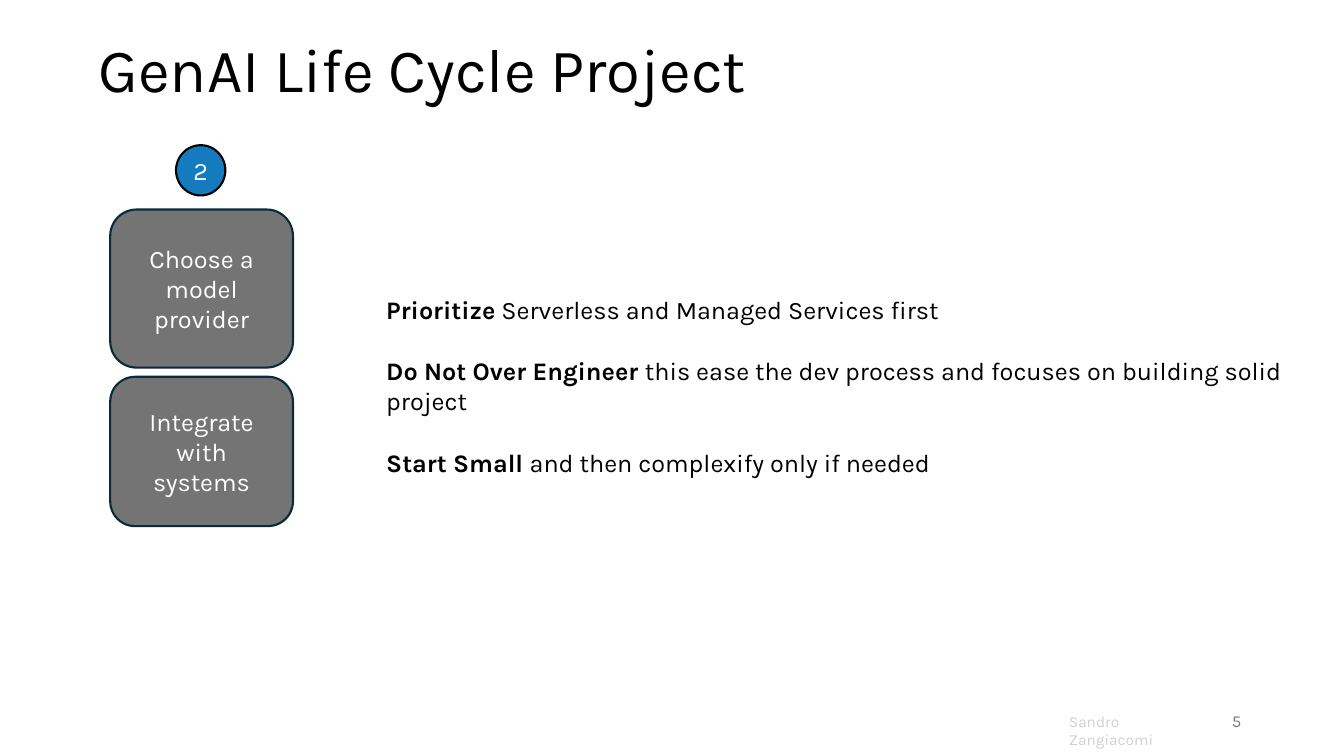
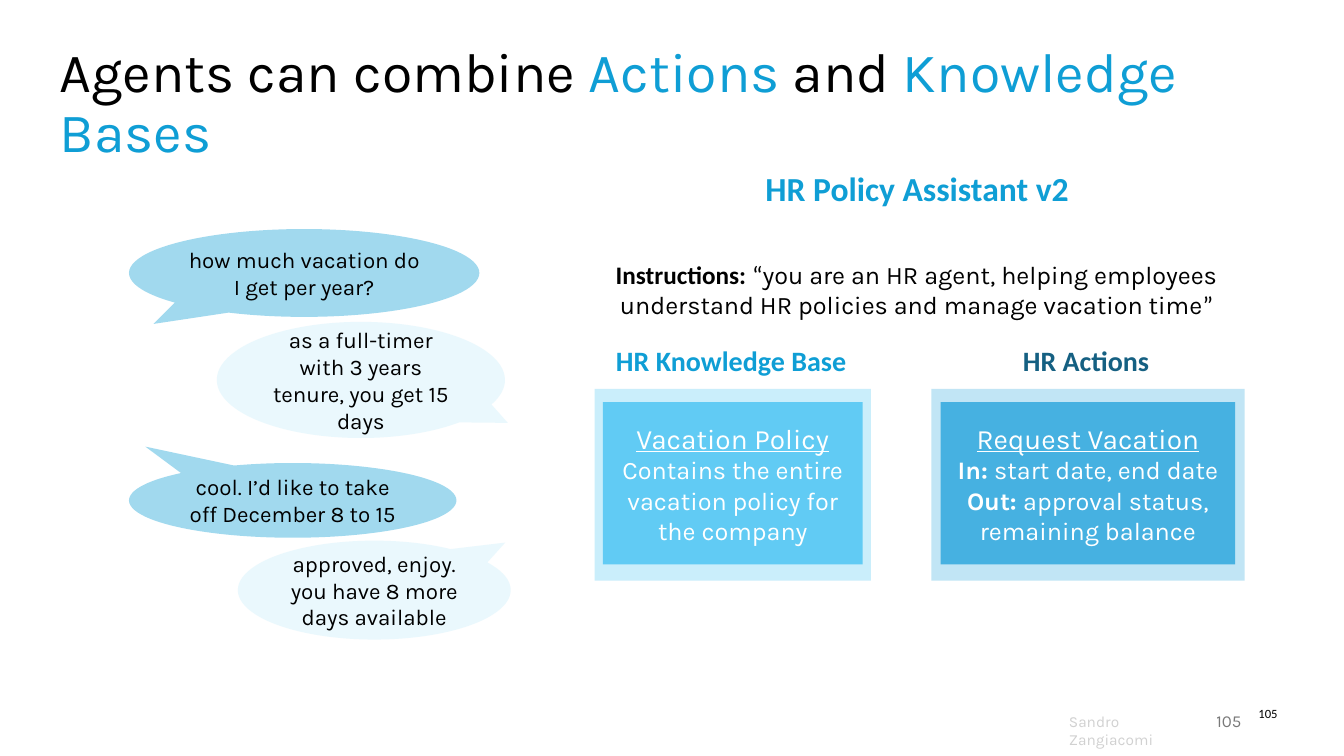
"""Build two slides on generative AI projects and agents."""
from dataclasses import dataclass

import lxml.etree
import pptx
import pptx.dml.color
import pptx.enum.shapes
import pptx.enum.text
import pptx.oxml.ns
import pptx.util

SHAPE = pptx.enum.shapes.MSO_SHAPE
ALIGN = pptx.enum.text.PP_ALIGN
ANCHOR = pptx.enum.text.MSO_ANCHOR


class Theme:
    """Fonts, colours and type sizes shared by the slides."""

    body_font, label_font = "Karla", "Calibri"
    black, white = "000000", "FFFFFF"
    credit_grey, number_grey, card_grey = "D1D1D1", "797979", "747474"
    card_line, badge_blue = "092A39", "147BBF"
    accent, accent_dark = "0F9ED5", "156082"
    pale_blue, sky, pale_steel, steel = "CAEEFB", "61CBF4", "C1E5F5", "46B1E1"
    title, wide_title, heading, subheading = 44, 39.6, 24, 20
    body, bubble, number, credit, small = 18, 16, 12, 11, 9
    outline, paragraph_gap, title_leading = 1.5, 22, 0.9
    bubble_opacity, inset = 39, 0.05


@dataclass
class Region:
    """A rectangle in inches."""

    left: float
    top: float
    width: float
    height: float

    def share(self, left, top, width, height):
        """Return an inner region given in percent of this one."""
        return Region(self.left + self.width * left / 100,
                      self.top + self.height * top / 100,
                      self.width * width / 100,
                      self.height * height / 100)

    def lengths(self):
        """Return left, top, width and height as lengths."""
        return [pptx.util.Inches(value) for value in
                (self.left, self.top, self.width, self.height)]


SLIDE = Region(0, 0, 13.33, 7.5)


@dataclass
class Span:
    """A run of text in one style; a line break when the text is a newline."""

    text: str
    size: float = Theme.body
    color: str = Theme.black
    font: str = Theme.body_font
    bold: bool = False
    underline: bool = False


def rgb(color):
    """Return a colour object for a hex string."""
    return pptx.dml.color.RGBColor.from_string(color)


def write(box, paragraphs, align=ALIGN.LEFT, anchor=ANCHOR.MIDDLE,
          inset=None, gap=0, leading=None):
    """Fill a box with paragraphs, each a list of spans."""
    frame = box.text_frame
    frame.word_wrap = True
    frame.vertical_anchor = anchor
    if inset is not None:
        frame.margin_left = frame.margin_right = pptx.util.Inches(inset)
        frame.margin_top = frame.margin_bottom = pptx.util.Inches(inset)
    for index, spans in enumerate(paragraphs):
        para = frame.add_paragraph() if index else frame.paragraphs[0]
        para.alignment = align
        if index and gap:
            para.space_before = pptx.util.Pt(gap)
        if leading:
            para.line_spacing = leading
        for span in spans:
            if span.text == "\n":
                para.add_line_break()
                continue
            run = para.add_run()
            run.text = span.text
            run.font.name = span.font
            run.font.size = pptx.util.Pt(span.size)
            run.font.bold = span.bold
            run.font.underline = span.underline
            run.font.color.rgb = rgb(span.color)


def add_text(page, region, paragraphs, **style):
    """Place a text box in a region."""
    write(page.shapes.add_textbox(*region.lengths()), paragraphs, **style)


def add_block(page, kind, region, fill, line=None, opacity=None):
    """Place a filled shape, with an optional outline and opacity."""
    block = page.shapes.add_shape(kind, *region.lengths())
    block.shadow.inherit = False
    block.fill.solid()
    block.fill.fore_color.rgb = rgb(fill)
    if line:
        block.line.color.rgb = rgb(line)
        block.line.width = pptx.util.Pt(Theme.outline)
    else:
        block.line.fill.background()
    if opacity:
        name = pptx.oxml.ns.qn
        color = block.element.spPr.find(name("a:solidFill")).find(name("a:srgbClr"))
        lxml.etree.SubElement(color, name("a:alpha")).set("val", str(opacity * 1000))
    return block


def start_page(deck, number, title_region, title):
    """Add a slide with its title, credit and page number."""
    page = deck.slides.add_slide(deck.slide_layouts[6])
    add_text(page, SLIDE.share(78.8, 93.5, 11.2, 3.9),
             [[Span("Sandro Zangiacomi", Theme.credit, Theme.credit_grey)]],
             anchor=ANCHOR.TOP)
    add_text(page, title_region, [title], leading=Theme.title_leading)
    add_text(page, SLIDE.share(70.6, 92.7, 22.5, 5.3),
             [[Span(number, Theme.number, Theme.number_grey)]], align=ALIGN.RIGHT)
    return page


def add_stage(page, region, number, steps):
    """Draw a numbered badge above a column of step cards."""
    badge = add_block(page, SHAPE.OVAL, region.share(36, 0, 27, 13.2),
                      Theme.badge_blue, Theme.black)
    write(badge, [[Span(number, color=Theme.white)]], align=ALIGN.CENTER)
    for label, top, height in steps:
        card = add_block(page, SHAPE.ROUNDED_RECTANGLE, region.share(0, top, 100, height),
                         Theme.card_grey, Theme.card_line)
        write(card, [[Span(label, color=Theme.white)]], align=ALIGN.CENTER)


def add_conversation(page, region):
    """Draw the chat between an employee and the assistant."""
    asked, answered = Theme.accent, Theme.pale_blue
    bubbles = [
        ("how much vacation do I get per year?", asked,
         (0, 0, 91.8, 21.4), (-0.43, 0.58)),
        ("as a full-timer with 3 years tenure, you get 15 days", answered,
         (23, 22.6, 75.5, 28.3), (0.51, 0.37)),
        ("cool. I’d like to take off December 8 to 15", asked,
         (0, 57, 85.8, 18.2), (-0.45, -0.72)),
        ("approved, enjoy. you have 8 more days available", answered,
         (28.5, 75.9, 71.5, 24.1), (0.48, -0.48)),
    ]
    for text, fill, place, tail in bubbles:
        bubble = add_block(page, SHAPE.OVAL_CALLOUT, region.share(*place), fill,
                           opacity=Theme.bubble_opacity)
        bubble.adjustments[0], bubble.adjustments[1] = tail
        write(bubble, [[Span(text, Theme.bubble)]], align=ALIGN.CENTER,
              inset=Theme.inset)


def add_panel(page, region, heading, heading_color, frame_fill, card_fill, name, details):
    """Draw a heading over a framed card with a name and details."""
    add_text(page, region.share(-5.6, 0, 110, 18.3),
             [[Span(heading, Theme.subheading, heading_color, Theme.label_font, True)]],
             align=ALIGN.CENTER, anchor=ANCHOR.TOP)
    add_block(page, SHAPE.RECTANGLE, region.share(0, 20.8, 100, 79.2), frame_fill)
    card = add_block(page, SHAPE.RECTANGLE, region.share(3, 26.25, 94, 67.1), card_fill)
    title = Span(name, Theme.subheading, Theme.white, underline=True)
    write(card, [[title], details], align=ALIGN.CENTER, inset=Theme.inset)


def build_life_cycle(deck):
    """Build the slide on the project life cycle."""
    page = start_page(deck, "5", SLIDE.share(6.6, -0.1, 86.2, 19.3),
                      [Span("GenAI Life Cycle Project", Theme.title)])
    add_stage(page, SLIDE.share(8.2, 19.2, 13.6, 50.4), "2",
              [("Choose a model provider", 16.9, 41.5),
               ("Integrate with systems", 60.8, 39.2)])
    advice = [
        ("Prioritize", " Serverless and Managed Services first"),
        ("Do Not Over Engineer ",
         "this ease the dev process and focuses on building solid project"),
        ("Start Small ", "and then complexify only if needed"),
    ]
    add_text(page, SLIDE.share(28, 38.3, 71, 21.6),
             [[Span(lead, bold=True), Span(rest)] for lead, rest in advice],
             anchor=ANCHOR.TOP, gap=Theme.paragraph_gap)


def build_agents(deck):
    """Build the slide on agents with actions and knowledge bases."""
    title = [Span(text, Theme.wide_title, color) for text, color in (
        ("Agents can combine ", Theme.black), ("Actions", Theme.accent),
        (" and ", Theme.black), ("Knowledge Bases", Theme.accent))]
    page = start_page(deck, "105", SLIDE.share(3.7, 5.5, 94.8, 16.7), title)
    label = Theme.label_font
    add_text(page, SLIDE.share(54.2, 21.5, 28.1, 6.7),
             [[Span("HR Policy Assistant v2", Theme.heading, Theme.accent, label, True)]],
             align=ALIGN.CENTER, anchor=ANCHOR.TOP)
    add_text(page, SLIDE.share(43.5, 33.1, 49.4, 10.3),
             [[Span("Instructions:", font=label, bold=True), Span(" “", font=label),
               Span("you are an HR agent, helping employees understand HR policies "
                    "and manage vacation time"),
               Span("”", font=label)]], align=ALIGN.CENTER)
    add_conversation(page, SLIDE.share(9.6, 30.3, 28.4, 54.3))
    add_panel(page, SLIDE.share(44.25, 44.8, 20.55, 32), "HR Knowledge Base",
              Theme.accent, Theme.pale_blue, Theme.sky, "Vacation Policy",
              [Span("Contains the entire vacation policy for the company",
                    color=Theme.white)])
    details = [Span(text, color=Theme.white, bold=text.endswith(": ")) for text in (
        "In: ", "start date, end date", "\n",
        "Out: ", "approval status,", "\n", "remaining balance")]
    add_panel(page, SLIDE.share(69.3, 44.8, 23.3, 32), "HR Actions",
              Theme.accent_dark, Theme.pale_steel, Theme.steel, "Request Vacation",
              details)
    add_text(page, SLIDE.share(73.3, 91.7, 22.5, 5.3),
             [[Span("105", Theme.small, font=label)]], align=ALIGN.RIGHT)


def main():
    """Build and save the deck."""
    deck = pptx.Presentation()
    deck.slide_width = pptx.util.Inches(SLIDE.width)
    deck.slide_height = pptx.util.Inches(SLIDE.height)
    build_life_cycle(deck)
    build_agents(deck)
    deck.save("out.pptx")


if __name__ == "__main__":
    main()
